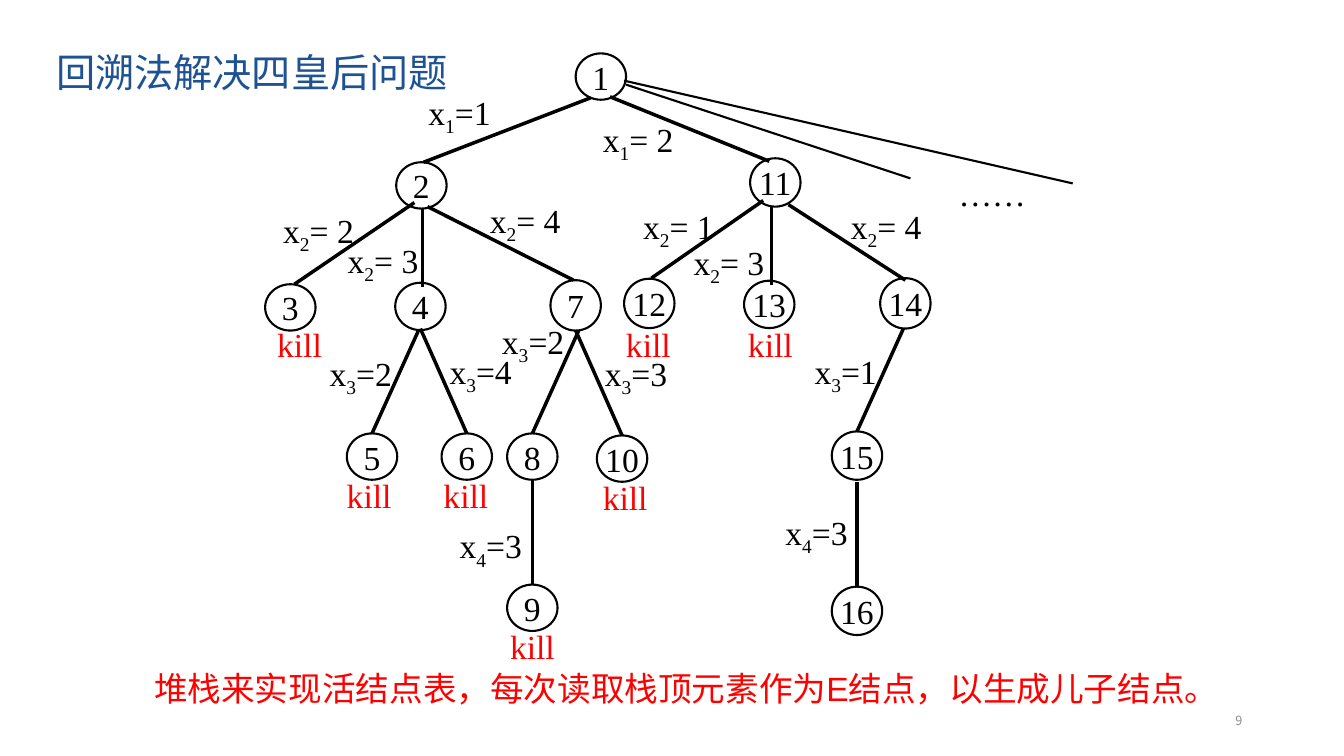
from pptx import Presentation, util as u
from pptx.dml.color import RGBColor
from pptx.enum import shapes, text
from lxml import etree

W, H = 13.33, 7.5
CELL = 0.1  # side of one tree grid cell, inches
COLORS = {"ink": "000000", "kill": "FF0000", "title": "1E5293", "number": "8C8C8C"}
SERIF, SANS, CJK = "Times New Roman", "Arial", "Noto Sans CJK SC"
A = "http://schemas.openxmlformats.org/drawingml/2006/main"

# label: centre column, centre row, height
NODES = {
    1: (33.3, 2.3, 4.6), 2: (15.5, 13.1, 4.6), 11: (50.6, 12.8, 4.8),
    3: (2.5, 25.2, 4.6), 4: (15.4, 25.1, 4.7), 7: (30.8, 25, 5),
    12: (38.1, 24.8, 4.9), 13: (50, 24.9, 4.7), 14: (63.5, 24.8, 5),
    5: (10.6, 40, 4.6), 6: (20, 40, 4.6), 8: (26.5, 40, 4.6),
    10: (35.4, 40.2, 4.6), 15: (58.7, 39.9, 4.8),
    9: (26.5, 55, 4.6), 16: (58.7, 55.3, 4.8),
}
# start, end, label corner, variable index, assigned value, line spacing
EDGES = [
    ((32.3, 4.4), (15.7, 10.8), (15.2, 3.3), "1", "=1", 1),
    ((34.2, 4.3), (50, 10.7), (32.5, 6), "1", "= 2", 1),
    ((14.8, 14.8), (2.9, 22.9), (0.8, 15), "2", "= 2", 1),
    ((15.6, 15.4), (15.6, 23.2), (7.2, 18), "2", "= 3", 1),
    ((16.1, 15.2), (30.6, 22.5), (21.3, 14), "2", "= 4", 1),
    ((49.4, 14.6), (38.3, 22.3), (36.5, 14.6), "2", "= 1", 1),
    ((50.2, 15.2), (50.2, 23), (41.5, 18.2), "2", "= 3", 1),
    ((51.9, 15), (63.5, 22.5), (57.1, 14.6), "2", "= 4", 1),
    ((15.2, 27.5), (10.6, 37.7), (5.4, 29.2), "3", "=2", 1),
    ((15.4, 27.3), (20, 37.7), (17.3, 29), "3", "=4", 1),
    ((31.1, 27.5), (26.5, 37.7), (22.5, 26), "3", "=2", 1),
    ((30.8, 27.5), (35.4, 37.9), (32.7, 29.2), "3", "=3", 1),
    ((63.3, 27.3), (58.7, 37.5), (53.5, 29), "3", "=1", 1),
    ((26.5, 42.3), (26.5, 52.7), (18.3, 47.1), "4", "=3", 0.7),
    ((58.7, 42.5), (58.7, 52.9), (50.6, 45), "4", "=3", 1),
]
OPEN_BRANCHES = [((35.8, 3.1), (64, 12.4)), ((35.6, 2.7), (80.1, 12.9))]
KILLS = [(0.2, 27.1), (7.1, 42.1), (16.7, 42.1), (23.3, 57.1),
         (32.5, 42.3), (34.8, 27.1), (46.9, 27.1)]


def rgb(name):
    return RGBColor.from_string(COLORS[name])


def inches(box):
    return [u.Inches(v) for v in box]


def add_run(p, words, color, size=24, font=SERIF, east=SERIF, base=0):
    r = p.add_run()
    r.text = words
    r.font.size = u.Pt(size)
    r.font.name = font
    r.font.color.rgb = rgb(color)
    rpr = r.font._element
    if base:
        rpr.set("baseline", str(base * 1000))
    rpr.find(f"{{{A}}}latin").addnext(etree.Element(f"{{{A}}}ea", typeface=east))


def add_text(s, box, runs, align="LEFT", spacing=1, anchor="TOP"):
    """Each run is a dict of add_run arguments."""
    tf = s.shapes.add_textbox(*inches(box)).text_frame
    tf.word_wrap = True
    tf.vertical_anchor = getattr(text.MSO_ANCHOR, anchor)
    p = tf.paragraphs[0]
    p.alignment = getattr(text.PP_ALIGN, align)
    if spacing != 1:
        p.line_spacing = spacing
    for run in runs:
        add_run(p, **run)


def add_line(s, start, end, width):
    ln = s.shapes.add_connector(shapes.MSO_CONNECTOR.STRAIGHT, *inches((*start, *end)))
    ln.line.color.rgb = rgb("ink")
    ln.line.width = u.Pt(width)
    etree.SubElement(ln._element.spPr, f"{{{A}}}effectLst")


def add_node(s, box, label):
    sp = s.shapes.add_shape(shapes.MSO_SHAPE.OVAL, *inches(box))
    sp.shadow.inherit = False
    sp.fill.background()
    sp.line.color.rgb = rgb("ink")
    sp.line.width = u.Pt(1.5)
    tf = sp.text_frame
    tf.word_wrap = False
    tf.vertical_anchor = text.MSO_ANCHOR.MIDDLE
    p = tf.paragraphs[0]
    p.alignment = text.PP_ALIGN.CENTER
    add_run(p, label, "ink")


def draw_tree(s, left, top):
    def at(col, row):
        return left + col * CELL, top + row * CELL

    # branches and their assignments
    for start, end, corner, index, value, spacing in EDGES:
        add_line(s, at(*start), at(*end), 2.5)
        runs = [dict(words="x", color="ink"),
                dict(words=index, color="ink", base=-25),
                dict(words=value, color="ink")]
        add_text(s, (*at(*corner), 9.5 * CELL, 5 * CELL), runs, spacing=spacing)

    # unexplored branches
    for start, end in OPEN_BRANCHES:
        add_line(s, at(*start), at(*end), 1.5)
    add_text(s, (*at(65, 11.4), 14.2 * CELL, 5 * CELL),
             [dict(words="……", color="ink")], align="CENTER")

    # nodes
    for number, (col, row, height) in NODES.items():
        add_node(s, (*at(col - 2.5, row - height / 2), 5 * CELL, height * CELL), str(number))

    # dead ends
    for corner in KILLS:
        add_text(s, (*at(*corner), 7.1 * CELL, 4.2 * CELL),
                 [dict(words="kill", color="kill")], spacing=0.8)


def draw_texts(s, w, h):
    # title
    add_text(s, (0.0345 * w, 0.0333 * h, 0.863 * w, 0.132 * h),
             [dict(words="回溯法解决四皇后问题", color="title", size=28, font=SANS, east=CJK)],
             spacing=0.9, anchor="MIDDLE")
    # conclusion
    add_text(s, (0.1073 * w, 0.8773 * h, 0.837 * w, 0.067 * h),
             [dict(words="堆栈来实现活结点表，每次读取栈顶元素作为E结点，以生成儿子结点。",
                   color="kill", font=SANS, east=CJK)])
    # page number
    add_text(s, (0.7067 * w, 0.9267 * h, 0.225 * w, 0.053 * h),
             [dict(words="9", color="number", size=9, font=CJK, east=CJK)],
             align="RIGHT", anchor="MIDDLE")


def main():
    prs = Presentation()
    prs.slide_width, prs.slide_height = inches((W, H))
    s = prs.slides.add_slide(prs.slide_layouts[6])
    draw_tree(s, 2.63, 0.53)
    draw_texts(s, W, H)
    prs.save("out.pptx")


if __name__ == "__main__":
    main()
